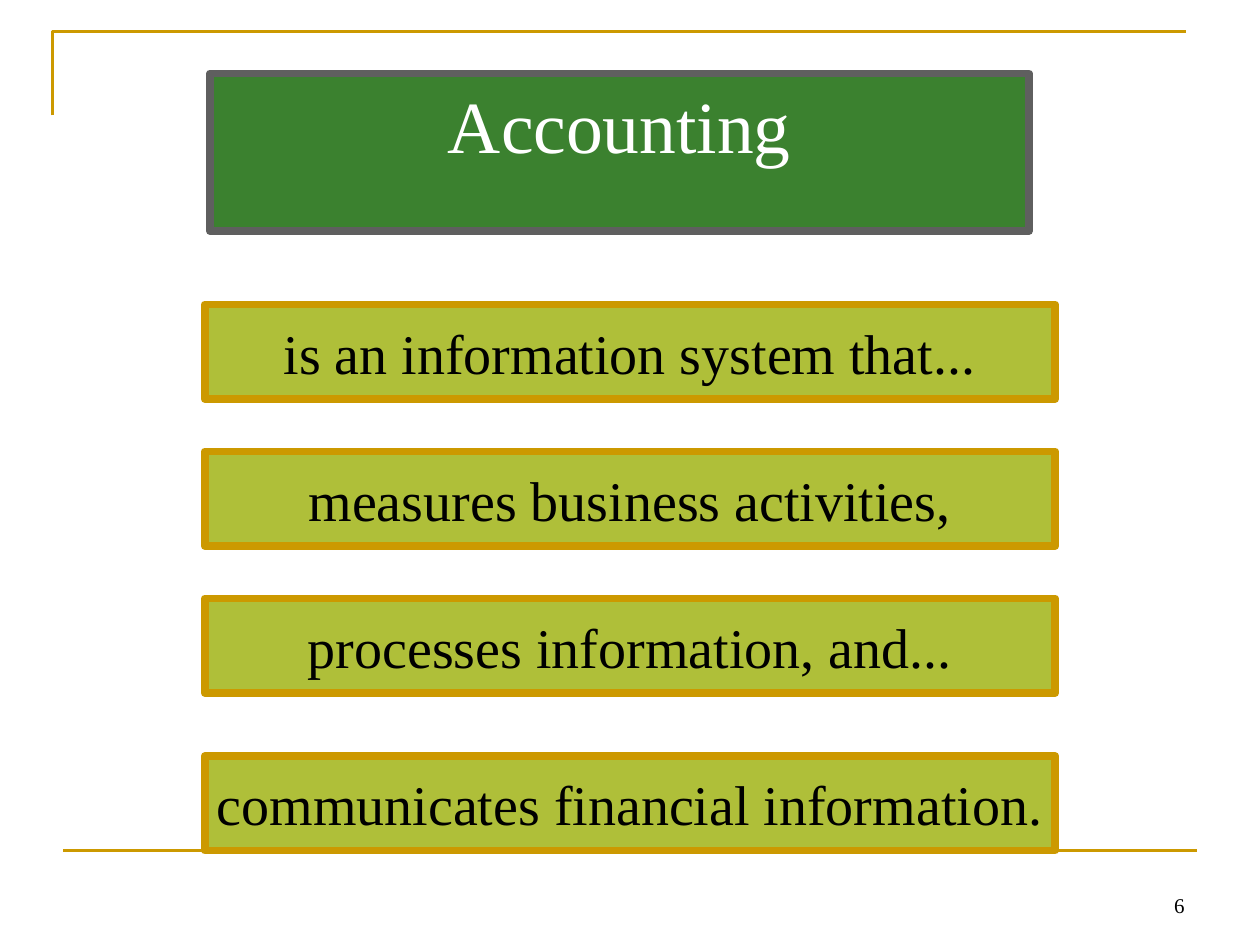
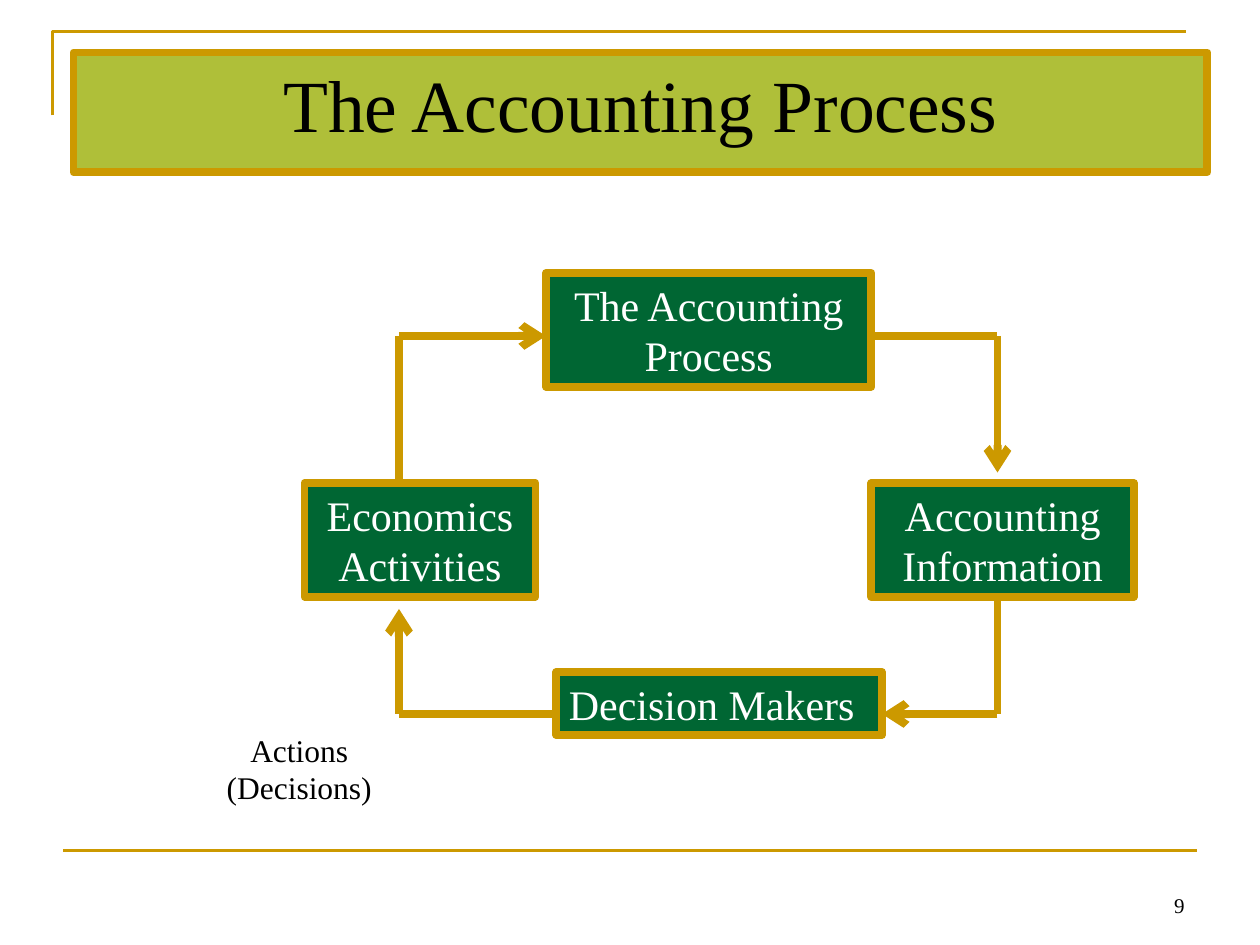
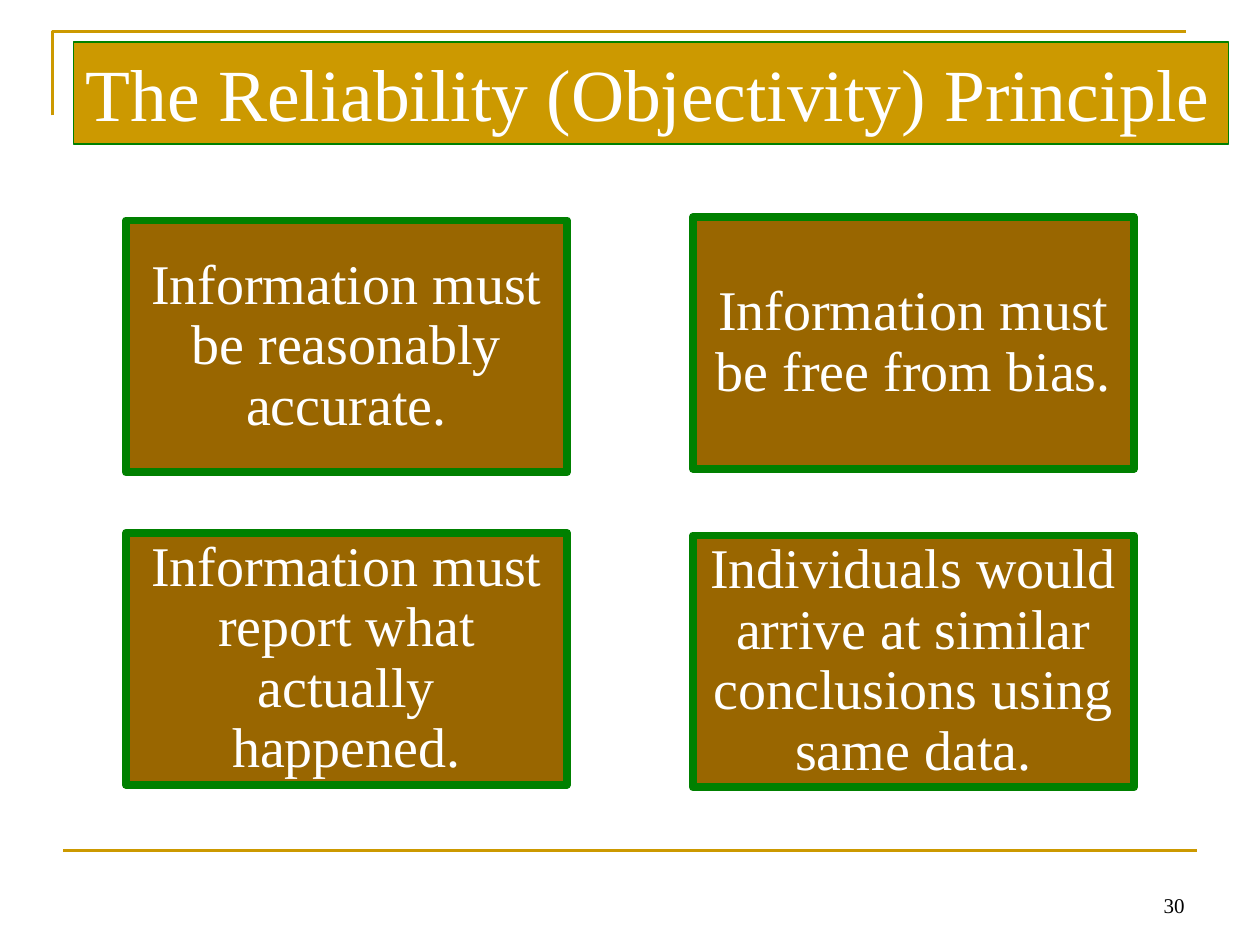
from lxml.etree import SubElement
from pptx import Presentation
from pptx.dml.color import RGBColor
from pptx.enum.shapes import MSO_CONNECTOR, MSO_SHAPE
from pptx.enum.text import MSO_ANCHOR, PP_ALIGN
from pptx.oxml.ns import qn
from pptx.util import Pt

GOLD, OLIVE, FOREST, LEAF = "CC9900", "AFBF39", "006633", "3B812F"
BROWN, GREEN, GRAY = "996600", "008000", "5F5F5F"
BLACK, WHITE = "000000", "FFFFFF"
FONT = "Times New Roman"
HEAVY = 4.5


def rgb(value):
    return RGBColor.from_string(value)


def add_panel(slide, bounds, text, size, ink, fill=None, border=None, weight=HEAVY,
              anchor=MSO_ANCHOR.TOP, align=PP_ALIGN.CENTER, wrap=True, spacing=None):
    """Add a filled rectangle, or a bare text box when no fill is given."""
    bounds = [Pt(length) for length in bounds]
    if fill:
        panel = slide.shapes.add_shape(MSO_SHAPE.RECTANGLE, *bounds)
        panel.shadow.inherit = False
        panel.fill.solid()
        panel.fill.fore_color.rgb = rgb(fill)
        panel.line.color.rgb = rgb(border)
        panel.line.width = Pt(weight)
    else:
        panel = slide.shapes.add_textbox(*bounds)
    frame = panel.text_frame
    frame.text = text
    frame.word_wrap = wrap
    frame.vertical_anchor = anchor
    for paragraph in frame.paragraphs:
        paragraph.alignment = align
        paragraph.line_spacing = spacing
        for name, value in {"name": FONT, "size": Pt(size)}.items():
            setattr(paragraph.font, name, value)
        paragraph.font.color.rgb = rgb(ink)


deck = Presentation()
deck.slide_width, deck.slide_height = Pt(720), Pt(540)

# Shared frame: corner, bottom rule and page number
slides = []
strokes = []
for page in ("6", "9", "30"):
    slide = deck.slides.add_slide(deck.slide_layouts[6])
    slides.append(slide)

    outline = slide.shapes.build_freeform(Pt(30), Pt(66))
    outline.add_line_segments([(Pt(30), Pt(18)), (Pt(678), Pt(18))], close=False)
    corner = outline.convert_to_shape()
    corner.shadow.inherit = False
    corner.fill.background()
    corner.line.color.rgb = rgb(GOLD)
    corner.line.width = Pt(1.5)

    rule = slide.shapes.add_connector(
        MSO_CONNECTOR.STRAIGHT, Pt(36), Pt(486), Pt(684), Pt(486))
    strokes.append((rule, 1.5, False))

    add_panel(slide, (516, 492, 168, 36), page, 12, BLACK,
              anchor=MSO_ANCHOR.BOTTOM, align=PP_ALIGN.RIGHT)

definition, process, reliability = slides

# Definition of accounting
statements = [
    (174, "is an information system that..."),
    (258, "measures business activities,"),
    (342, "processes information, and..."),
    (432, "communicates financial information."),
]
for top, statement in statements:
    add_panel(definition, (117, top, 486, 54), statement, 32, BLACK, OLIVE, GOLD,
              anchor=MSO_ANCHOR.MIDDLE, wrap=False)
add_panel(definition, (120, 42, 468, 90), "Accounting", 42, WHITE, LEAF, GRAY)

# Accounting cycle
add_panel(process, (42, 30, 648, 68.4), "The Accounting Process", 42, BLACK, OLIVE, GOLD)
stages = [
    ((312, 156, 186, 65), "The Accounting Process", PP_ALIGN.CENTER),
    ((318, 384, 186, 36), "Decision Makers", PP_ALIGN.LEFT),
    ((498, 276, 150, 65), "Accounting Information", PP_ALIGN.CENTER),
    ((174, 276, 132, 65), "Economics Activities", PP_ALIGN.CENTER),
]
for bounds, stage, align in stages:
    add_panel(process, bounds, stage, 24, WHITE, FOREST, GOLD, align=align)

# Each route runs from a stage round a corner to an arrowhead at the next stage
routes = [
    ((498, 192), (570, 192), (570, 270)),
    ((570, 342), (570, 408), (504, 408)),
    ((318, 408), (228, 408), (228, 348)),
    ((228, 276), (228, 192), (312, 192)),
]
for start, bend, end in routes:
    for origin, target, pointed in ((start, bend, False), (bend, end, True)):
        ends = [Pt(length) for length in origin + target]
        leg = process.shapes.add_connector(MSO_CONNECTOR.STRAIGHT, *ends)
        strokes.append((leg, HEAVY, pointed))
add_panel(process, (114, 414, 114, 50.4), "Actions (Decisions)", 18, BLACK)

# Reliability principle
requirements = [
    (72, 126, "Information must\nbe reasonably\naccurate.", True),
    (396, 124, "Information must\nbe free from bias.", True),
    (72, 304.5, "Information must report what actually happened.", True),
    (396, 306, "Individuals would\narrive at similar\nconclusions using\nsame data.", False),
]
for left, top, requirement, wrap in requirements:
    add_panel(reliability, (left, top, 252, 144), requirement, 32, WHITE, BROWN, GREEN,
              anchor=MSO_ANCHOR.MIDDLE, wrap=wrap, spacing=0.9)
add_panel(reliability, (42, 24, 660, 58.4), "The Reliability (Objectivity) Principle",
          42, WHITE, GOLD, GREEN, weight=0.75, align=PP_ALIGN.LEFT)

# Line style of the rules and cycle arrows
for stroke, weight, pointed in strokes:
    stroke.line.color.rgb = rgb(GOLD)
    stroke.line.width = Pt(weight)
    properties = stroke._element.spPr
    if pointed:
        SubElement(properties.find(qn("a:ln")), qn("a:tailEnd"), type="arrow")
    SubElement(properties, qn("a:effectLst"))

deck.save("out.pptx")
